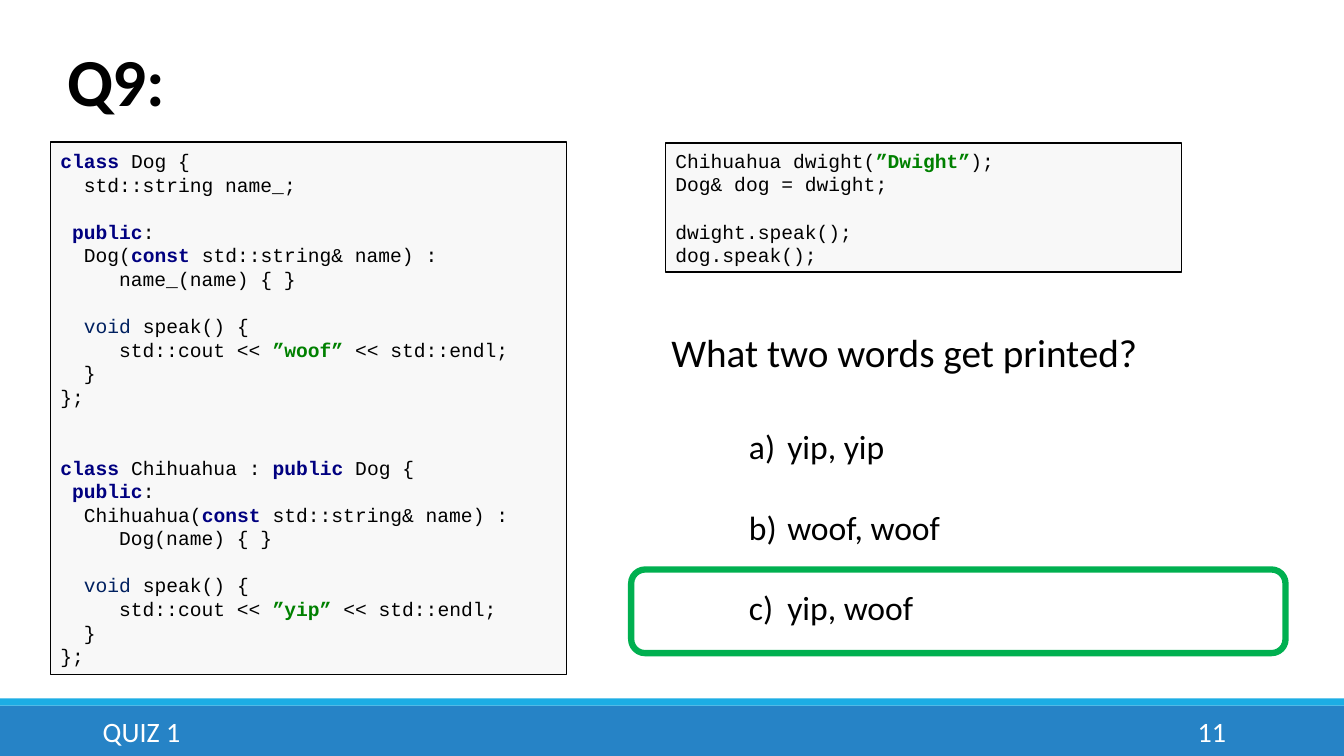
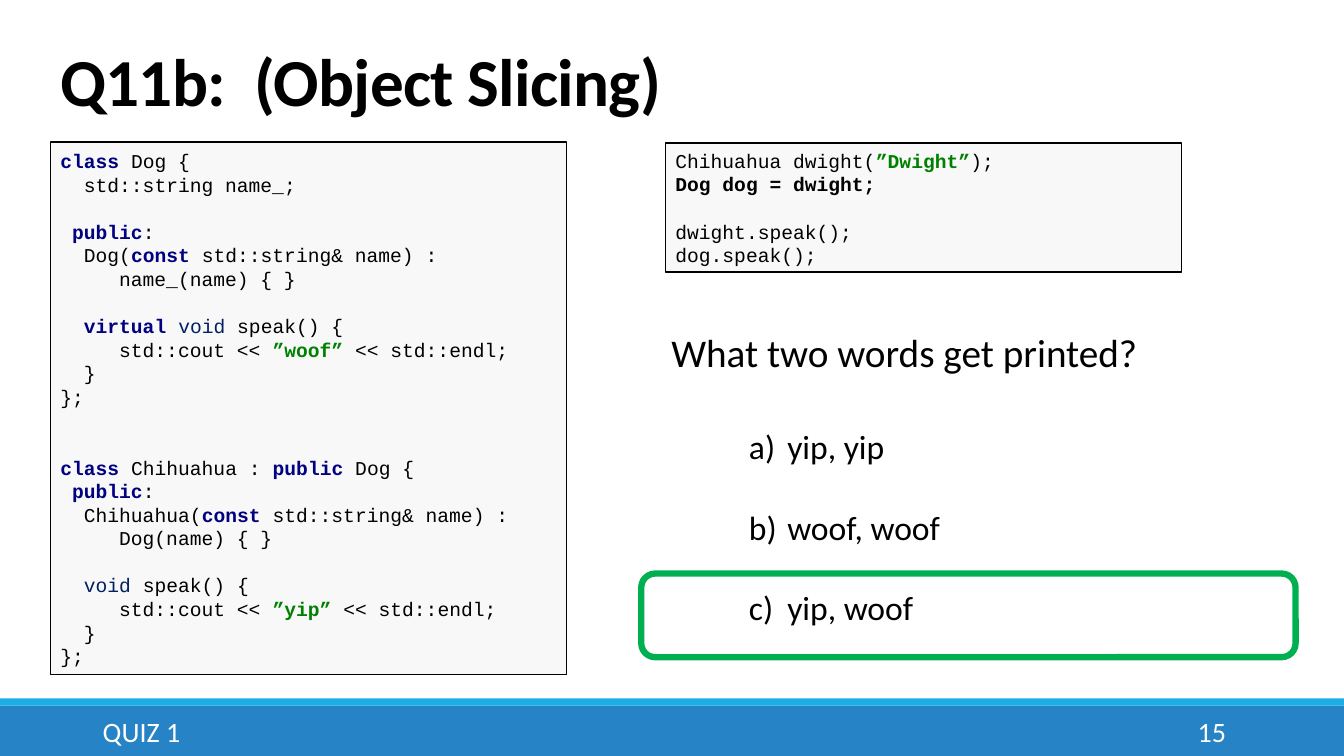
"""Build two quiz slides about virtual dispatch in C++."""
from pptx import Presentation
from pptx import util as u
from pptx.dml.color import RGBColor
from pptx.enum import shapes, text
from pptx.oxml.ns import qn
from lxml import etree

BLACK, WHITE, CODE_BG = "000000", "FFFFFF", "F8F8F8"
BLUE, CYAN, GREEN = "2683C6", "1CADE4", "00B050"
NAVY, TYPE_BLUE, STRING_GREEN = "000080", "002060", "008000"
BODY_FONT, CODE_FONT = "Calibri", "Courier New"
CODE_SIZE, CODE_LINE, CODE_CHAR = 14, 16.85, 8.4
KEYWORDS = {"class", "public", "const", "virtual"}

CLASSES = """|class| Dog {
  std::string name_;

 |public|:
  Dog(|const| std::string& name) :
     name_(name) { }

  %s|void| speak() {
     std::cout << |”woof”| << std::endl;
  }
};


|class| Chihuahua : |public| Dog {
 |public|:
  Chihuahua(|const| std::string& name) :
     Dog(name) { }

  |void| speak() {
     std::cout << |”yip”| << std::endl;
  }
};"""

USAGE = """Chihuahua dwight(|”Dwight”|);
%s

dwight.speak();
dog.speak();"""

ANSWERS = ["yip, yip", "woof, woof", "yip, woof"]


def rgb(value):
    """Turn a hex string into a colour."""
    return RGBColor.from_string(value)


def add_run(p, words, size, color=BLACK, bold=False, font=BODY_FONT):
    """Append one formatted run to a paragraph."""
    r = p.add_run()
    r.text = words
    r.font.name, r.font.size, r.font.bold = font, u.Pt(size), bold
    r.font.color.rgb = rgb(color)
    return r


def add_box(s, kind, x, y, w, h, fill=None, line=None, weight=1):
    """Add a preset shape with an optional fill and outline."""
    sp = s.shapes.add_shape(kind, *map(u.Inches, (x, y, w, h)))
    sp.shadow.inherit = False
    if fill:
        sp.fill.solid()
        sp.fill.fore_color.rgb = rgb(fill)
    else:
        sp.fill.background()
    if line:
        sp.line.color.rgb = rgb(line)
        sp.line.width = u.Pt(weight)
    else:
        sp.line.fill.background()
    return sp


def add_text_frame(s, x, y, w, h, anchor=text.MSO_ANCHOR.TOP):
    """Add a wrapping text box and return its frame."""
    tf = s.shapes.add_textbox(*map(u.Inches, (x, y, w, h))).text_frame
    tf.word_wrap = True
    tf.vertical_anchor = anchor
    return tf


def next_paragraph(tf, first):
    """Return the opening paragraph or append another."""
    return tf.paragraphs[0] if first else tf.add_paragraph()


def code_style(token):
    """Give the colour and weight of a highlighted token."""
    if token in KEYWORDS:
        return NAVY, True
    if token == "void":
        return TYPE_BLUE, False
    return (STRING_GREEN if token.startswith("”") else BLACK), True


def add_code(s, x, y, w, h, code):
    """Add a code panel, with highlighted tokens between bars."""
    sp = add_box(s, shapes.MSO_SHAPE.RECTANGLE, x, y, w, h, CODE_BG, BLACK)
    tf = sp.text_frame
    tf.word_wrap = True
    tf.vertical_anchor = text.MSO_ANCHOR.MIDDLE
    blanks = 0
    for i, line in enumerate(code.split("\n")):
        if not line:
            blanks += 1
            continue
        p = next_paragraph(tf, i == 0)
        p.alignment = text.PP_ALIGN.LEFT
        p.line_spacing = u.Pt(CODE_LINE)
        p.space_before = u.Pt(CODE_LINE * blanks)
        blanks = 0
        body = line.lstrip()
        indent = u.Pt(CODE_CHAR * (len(line) - len(body)))
        p._p.get_or_add_pPr().set("marL", str(indent))
        for j, token in enumerate(body.split("|")):
            if token:
                color, bold = code_style(token) if j % 2 else (BLACK, False)
                add_run(p, token, CODE_SIZE, color, bold, CODE_FONT)


def add_title(s, x, words):
    """Add the bold slide title."""
    tf = add_text_frame(s, x, 0.39, 11, 0.85, text.MSO_ANCHOR.BOTTOM)
    p = tf.paragraphs[0]
    p.line_spacing = 0.85
    r = add_run(p, words, 48, bold=True)
    r.font._element.set("spc", "-50")


def add_footer(s, number):
    """Add the two bands, the quiz name and the slide number."""
    for y, h, color in ((7, 0.5, BLUE), (6.93, 0.07, CYAN)):
        add_box(s, shapes.MSO_SHAPE.RECTANGLE, 0, y, 13.33, h, color)
    for x, w, words, align in (
        (0.92, 8.39, "QUIZ 1", text.PP_ALIGN.LEFT),
        (10.83, 1.43, str(number), text.PP_ALIGN.RIGHT),
    ):
        tf = add_text_frame(s, x, 7.06, w, 0.4, text.MSO_ANCHOR.MIDDLE)
        p = tf.paragraphs[0]
        p.alignment = align
        add_run(p, words, 20, WHITE)


def add_answers(s):
    """Add the lettered list of answers."""
    tf = add_text_frame(s, 7.33, 4.18, 2.72, 2.12)
    for i, answer in enumerate(ANSWERS):
        p = next_paragraph(tf, i == 0)
        p.space_before = u.Pt(28.5 if i else 0)
        pPr = p._p.get_or_add_pPr()
        pPr.set("marL", str(u.Inches(0.38)))
        pPr.set("indent", str(-u.Inches(0.38)))
        etree.SubElement(pPr, qn("a:buFont"), typeface="+mj-lt")
        etree.SubElement(pPr, qn("a:buAutoNum"), type="alphaLcParenR")
        add_run(p, answer, 24)


def add_quiz_slide(prs, number, title, title_x, virtual, binding, ring):
    """Add a question with its code, answers and marked solution."""
    s = prs.slides.add_slide(prs.slide_layouts[6])
    add_footer(s, number)
    add_title(s, title_x, title)
    add_code(s, 0.5, 1.41, 5.12, 5.28, CLASSES % virtual)
    add_code(s, 6.6, 1.42, 5.12, 1.28, USAGE % binding)
    add_answers(s)
    tf = add_text_frame(s, 6.56, 3.21, 5, 0.57)
    add_run(tf.paragraphs[0], "What two words get printed?", 28)
    add_box(s, shapes.MSO_SHAPE.ROUNDED_RECTANGLE, *ring, 6.49, 0.83,
            line=GREEN, weight=4.5)


def main():
    """Build and save the deck."""
    prs = Presentation()
    prs.slide_width, prs.slide_height = u.Inches(13.33), u.Inches(7.5)
    add_quiz_slide(prs, 11, "Q9:", 0.57, "", "Dog& dog = dwight;",
                   (6.26, 5.65))
    add_quiz_slide(prs, 15, "Q11b:  (Object Slicing)", 0.5, "|virtual| ",
                   "|Dog dog = dwight;|", (6.36, 5.69))
    prs.save("out.pptx")


if __name__ == "__main__":
    main()
